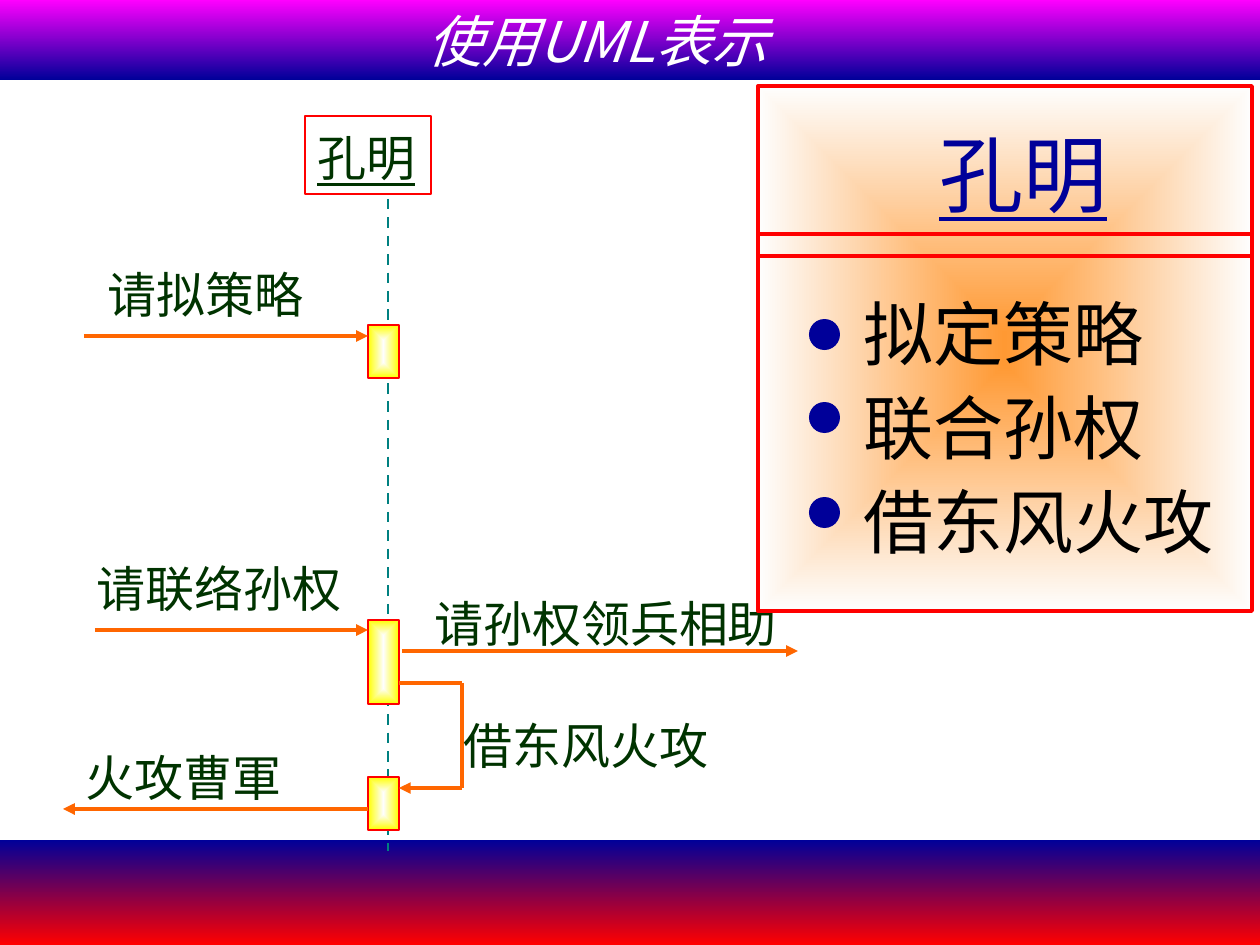
from pptx import Presentation
from pptx.dml.color import RGBColor as RGB
from pptx.enum.dml import MSO_LINE as DASH
from pptx.enum.shapes import MSO_CONNECTOR as CONN, MSO_SHAPE as KIND
from pptx.enum.text import MSO_ANCHOR as ANCHOR, MSO_AUTO_SIZE as AUTO, PP_ALIGN as ALIGN
from pptx.oxml.ns import qn
from pptx.util import Emu, Pt
from lxml import etree

PX = 914400 / 126
RED = RGB(0xFF, 0, 0)
NAVY = RGB(0, 0, 0x99)
PINK = RGB(0xFF, 0, 0xFF)
WHITE = RGB(0xFF, 0xFF, 0xFF)
PALE = RGB(0xFE, 0xFE, 0xFE)
BLACK = RGB(0, 0, 0)
GREEN = RGB(0, 0x33, 0)
TEAL = RGB(0, 0x80, 0x80)
FLAME = RGB(0xFF, 0x66, 0)
AMBER = RGB(0xFF, 0x99, 0x33)
YELLOW = RGB(0xFF, 0xFF, 0)


def put(home, kind, place, fill=None, edge=0, text="", **font):
    """Add a shape, or a text box if kind is None; a fill pair runs from the centre out."""
    place = [Emu(int(n * PX)) for n in place]
    if kind is None:
        shape = home.add_textbox(*place)
    else:
        shape = home.add_shape(kind, *place)
        shape.shadow.inherit = False
    if isinstance(fill, list):
        shape.fill.gradient()
        for stop, tint in zip(shape.fill.gradient_stops, fill):
            stop.color.rgb = tint
        grad = shape._element.spPr.find(qn("a:gradFill"))
        grad.remove(grad.find(qn("a:lin")))
        path = etree.SubElement(grad, qn("a:path"), path="rect")
        etree.SubElement(path, qn("a:fillToRect"), l="50000", t="50000", r="50000", b="50000")
    elif fill is not None:
        shape.fill.solid()
        shape.fill.fore_color.rgb = fill
    else:
        shape.fill.background()
    if edge:
        shape.line.color.rgb = RED
        shape.line.width = Pt(edge)
    else:
        shape.line.fill.background()
    if text:
        frame = shape.text_frame
        frame.word_wrap = True
        frame.vertical_anchor = ANCHOR.TOP
        para = frame.paragraphs[0]
        para.alignment = ALIGN.LEFT
        para.line_spacing = 1.1
        run = para.add_run()
        run.text = text
        run.font.color.rgb = font.pop("tint")
        for key, val in {"name": "Times New Roman", **font}.items():
            setattr(run.font, key, val)
    return shape


def link(home, ends, tint, width=2.25, arrow=False):
    """Add a straight line, with an arrowhead at its end if asked."""
    wire = home.add_connector(CONN.STRAIGHT, *[Emu(int(n * PX)) for n in ends])
    wire.line.color.rgb = tint
    wire.line.width = Pt(width)
    if arrow:
        etree.SubElement(wire.line._get_or_add_ln(), qn("a:tailEnd"), type="triangle")
    etree.SubElement(wire._element.spPr, qn("a:effectLst"))
    return wire


deck = Presentation()
deck.slide_width, deck.slide_height = Emu(int(1260 * PX)), Emu(int(945 * PX))
slide = deck.slides.add_slide(deck.slide_layouts[5])
shapes = slide.shapes

# Title band and foot band
title = shapes.title
title.left, title.top = Emu(0), Emu(0)
title.width, title.height = deck.slide_width, Emu(int(80 * PX))
foot = put(shapes, KIND.RECTANGLE, (0, 840, 1260, 105))
for band, tints in ((title, (PINK, NAVY)), (foot, (NAVY, RED))):
    band.fill.gradient()
    band.fill.gradient_angle = 270
    for stop, tint in zip(band.fill.gradient_stops, tints):
        stop.color.rgb = tint

frame = title.text_frame
frame.auto_size = AUTO.NONE
frame.vertical_anchor = ANCHOR.MIDDLE
frame.margin_right = Emu(int(79 * PX))
para = frame.paragraphs[0]
para.alignment = ALIGN.CENTER
run = para.add_run()
run.text = "使用UML表示"
run.font.color.rgb = WHITE
for key, val in {"name": "Noto Sans CJK SC", "size": Pt(32), "italic": True}.items():
    setattr(run.font, key, val)

# Lifeline with its head and active bars
put(shapes, KIND.RECTANGLE, (305, 116, 126, 78), None, 0.75, "孔明",
    size=Pt(28), tint=GREEN, underline=True)
life = link(shapes, (388, 199, 388, 851), TEAL, 1.5)
life.line.dash_style = DASH.DASH
for top, tall in ((325, 53), (620, 84), (777, 53)):
    put(shapes, KIND.RECTANGLE, (368, top, 31, tall), [PALE, YELLOW], 0.75)

# Messages, and the call back to itself
for *ends, arrow in (
    (84, 336, 368, 336, True),
    (95, 630, 368, 630, True),
    (402, 651, 798, 651, True),
    (399, 683, 462, 683, False),
    (462, 683, 462, 788, False),
    (462, 788, 399, 788, True),
    (368, 809, 63, 809, True),
):
    link(shapes, ends, FLAME, arrow=arrow)

for left, top, wide, text in (
    (95, 252, 231, "请拟策略"),
    (84, 546, 294, "请联络孙权"),
    (422, 582, 399, "请孙权领兵相助"),
    (451, 703, 294, "借东风火攻"),
    (73, 735, 252, "火攻曹軍"),
):
    put(shapes, None, (left, top, wide, 78), text=text, size=Pt(28), tint=GREEN)

# Class card
card = shapes.add_group_shape().shapes
put(card, KIND.RECTANGLE, (758, 86, 494, 525), [AMBER, PALE], 2.25)
for y in (234, 256):
    link(card, (758, y, 1252, y), RED)
put(card, None, (927, 106, 199, 123), text="孔明", size=Pt(48), tint=NAVY, underline=True)
for row, (dot, text) in enumerate(((319, "拟定策略"), (402, "联合孙权"), (497, "借东风火攻"))):
    put(card, KIND.OVAL, (809, dot, 31, 31), NAVY)
    put(card, None, (851, 276 + row * 94, 409, 106), text=text, size=Pt(40), tint=BLACK)

deck.save("out.pptx")
